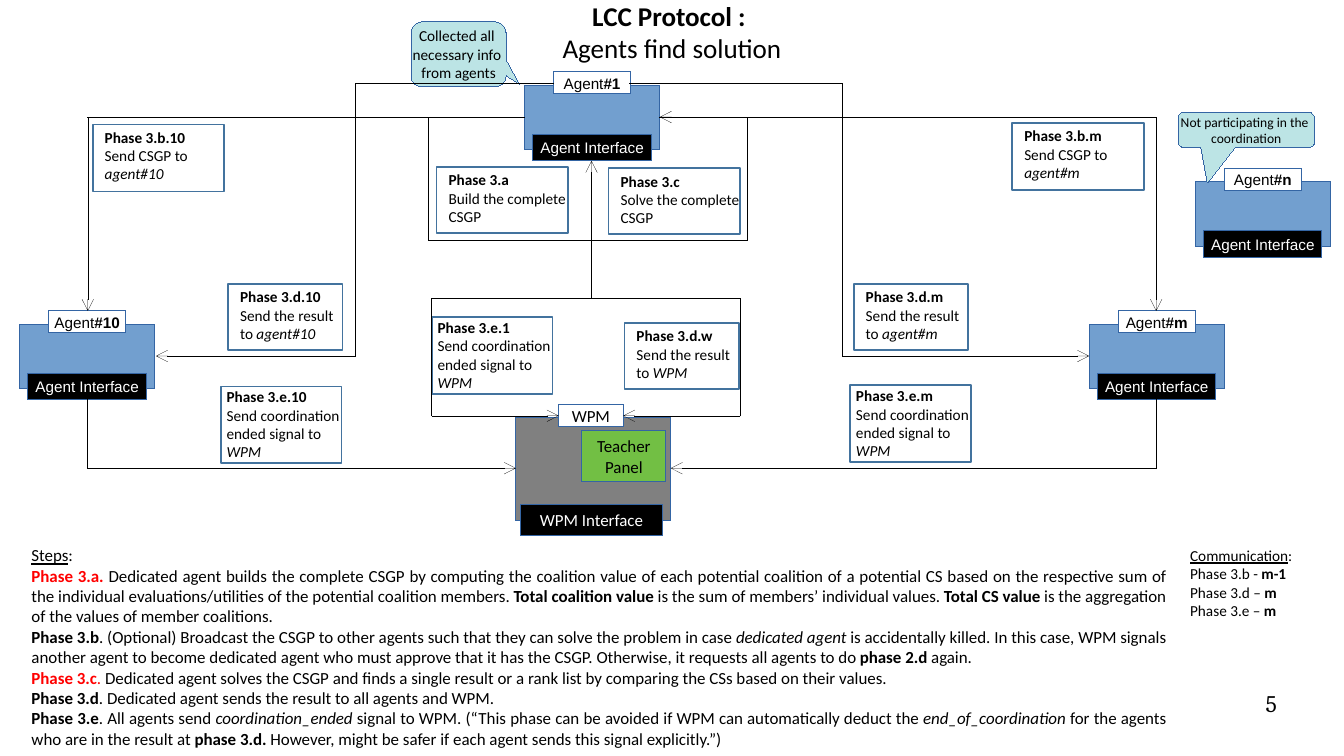
from itertools import pairwise
from typing import NamedTuple

from lxml.etree import SubElement
from pptx import Presentation
from pptx.dml.color import RGBColor
from pptx.enum.shapes import MSO_CONNECTOR, MSO_SHAPE
from pptx.enum.text import MSO_ANCHOR, PP_ALIGN
from pptx.oxml.ns import qn
from pptx.util import Cm, Pt

BLACK = RGBColor(0x00, 0x00, 0x00)
WHITE = RGBColor(0xFF, 0xFF, 0xFF)
RED = RGBColor(0xFF, 0x00, 0x00)
GREY = RGBColor(0x80, 0x80, 0x80)
GREEN = RGBColor(0x72, 0xBF, 0x44)
AGENT_BLUE = RGBColor(0x72, 0x9F, 0xCF)
OUTLINE_BLUE = RGBColor(0x34, 0x65, 0xA4)
NOTE_BLUE = RGBColor(0x43, 0x73, 0x9E)
CALLOUT_TEAL = RGBColor(0xBC, 0xE4, 0xE5)
CM_PER_INCH = 2.54
HAIRLINE = 0.01  # points; a width of zero would fall back to the theme's line


class Area(NamedTuple):
    """Left, top, width and height in inches."""
    left: float
    top: float
    width: float
    height: float


class Span(NamedTuple):
    text: str
    bold: bool = False
    italic: bool = False
    underline: bool = False
    color: RGBColor | None = None


class Style(NamedTuple):
    size: float
    font: str = "Calibri"
    color: RGBColor = BLACK
    align: PP_ALIGN = PP_ALIGN.LEFT
    anchor: MSO_ANCHOR = MSO_ANCHOR.TOP
    wrap: bool = True
    margins: tuple[float, float] = (0.1, 0.05)


class Agent(NamedTuple):
    name: str
    left: float
    top: float


class Note(NamedTuple):
    phase: str
    action: str
    target: str
    area: Area
    text_shift: tuple[float, float] = (0, -0.02)


class Callout(NamedTuple):
    text: str
    size: float
    area: Area
    tip: tuple[float, float]


Point = tuple[float, float]
Paragraphs = list[list[Span]]
SIGNAL_SHIFT = (-0.05, -0.04)
CENTERED = Style(9, "Arial", BLACK, PP_ALIGN.CENTER, MSO_ANCHOR.MIDDLE, False)
WPM_STYLE = CENTERED._replace(size=10, font="Calibri")

deck = Presentation()
deck.slide_width, deck.slide_height = Cm(11.02 * CM_PER_INCH), Cm(6.2 * CM_PER_INCH)
page = deck.slides.add_slide(deck.slide_layouts[6])


def lengths(*inches: float) -> list[Cm]:
    return [Cm(value * CM_PER_INCH) for value in inches]


def write(frame, paragraphs: Paragraphs, style: Style) -> None:
    frame.word_wrap = style.wrap
    frame.vertical_anchor = style.anchor
    frame.margin_left, frame.margin_top = lengths(*style.margins)
    frame.margin_right, frame.margin_bottom = lengths(*style.margins)
    for index, spans in enumerate(paragraphs):
        para = frame.add_paragraph() if index else frame.paragraphs[0]
        para.alignment = style.align
        for span in spans:
            for line, text in enumerate(span.text.split("\n")):
                if line:
                    para.add_line_break()
                if not text:
                    continue
                run = para.add_run()
                run.text = text
                run.font.size, run.font.name = Pt(style.size), style.font
                run.font.bold, run.font.italic = span.bold, span.italic
                run.font.underline = span.underline
                run.font.color.rgb = span.color or style.color


def add_text(area: Area, paragraphs: Paragraphs, style: Style) -> None:
    write(page.shapes.add_textbox(*lengths(*area)).text_frame, paragraphs, style)


def add_box(area: Area, fill: RGBColor | None, spans: tuple[Span, ...] = (),
            style: Style = CENTERED, line: RGBColor = OUTLINE_BLUE,
            line_width: float = HAIRLINE, kind: MSO_SHAPE = MSO_SHAPE.RECTANGLE):
    box = page.shapes.add_shape(kind, *lengths(*area))
    box.shadow.inherit = False
    if fill is None:
        box.fill.background()
    else:
        box.fill.solid()
        box.fill.fore_color.rgb = fill
    box.line.color.rgb, box.line.width = line, Pt(line_width)
    if spans:
        write(box.text_frame, [list(spans)], style)
    return box


def add_agent(agent: Agent) -> None:
    left, top = agent.left, agent.top
    add_box(Area(left, top, 1.11, 0.53), AGENT_BLUE)
    add_box(Area(left + 0.24, top - 0.11, 0.63, 0.18), WHITE, (Span("Agent"), Span(agent.name, bold=True)))
    add_box(Area(left + 0.07, top + 0.4, 0.97, 0.22), BLACK, (Span("Agent Interface"),), CENTERED._replace(color=WHITE))


def add_callout(callout: Callout) -> None:
    area = callout.area
    box = add_box(area, CALLOUT_TEAL, (Span(callout.text),), CENTERED._replace(size=callout.size, font="Calibri"),
                  kind=MSO_SHAPE.ROUNDED_RECTANGULAR_CALLOUT)
    box.adjustments[0] = (callout.tip[0] - area.left) / area.width - 0.5
    box.adjustments[1] = (callout.tip[1] - area.top) / area.height - 0.5


def add_note(note: Note) -> None:
    area, (across, down) = note.area, note.text_shift
    spans = [Span(note.phase + "\n", bold=True), Span(note.action), Span(note.target, italic=True)]
    add_text(Area(area.left + across, area.top + down, 1.25, area.height), [spans], Style(9))
    add_box(area, None, line=NOTE_BLUE, line_width=1)


def add_line(start: Point, end: Point, kind: MSO_CONNECTOR = MSO_CONNECTOR.STRAIGHT):
    line = page.shapes.add_connector(kind, *lengths(*start, *end))
    line.line.color.rgb, line.line.width = BLACK, Pt(HAIRLINE)
    SubElement(line._element.spPr, qn("a:effectLst"))
    return line


def add_arrowhead(line) -> None:
    SubElement(line.line._get_or_add_ln(), qn("a:tailEnd"), type="arrow")


def add_route(points: list[Point]) -> None:
    legs = [add_line(start, end) for start, end in pairwise(points)]
    add_arrowhead(legs[-1])


def add_elbow(start: Point, end: Point, bend: float) -> None:
    """Draw a three-part arrow that turns at the given horizontal position."""
    elbow = add_line(start, end, MSO_CONNECTOR.ELBOW)
    share = round((bend - start[0]) / (end[0] - start[0]) * 100000)
    guides = elbow._element.spPr.find(qn("a:prstGeom")).get_or_add_avLst()
    SubElement(guides, qn("a:gd"), name="adj1", fmla=f"val {share}")
    add_arrowhead(elbow)


# Title and page number
add_text(Area(0.55, 0.03, 9.92, 0.46), [[Span("LCC Protocol : \n", bold=True), Span("Agents find solution")]],
         Style(16, align=PP_ALIGN.CENTER, anchor=MSO_ANCHOR.MIDDLE, margins=(0, 0)))
add_text(Area(7.9, 5.65, 2.57, 0.43), [[Span("5")]], Style(14, "Cambria", align=PP_ALIGN.RIGHT, margins=(0, 0)))

# Agents and their callouts
for agent in (Agent("#1", 4.3, 0.7), Agent("#10", 0.16, 2.66), Agent("#m", 8.93, 2.66), Agent("#n", 9.8, 1.49)):
    add_agent(agent)
add_callout(Callout("Collected all \nnecessary info \nfrom agents", 9, Area(3.37, 0.18, 0.78, 0.53), (4.26, 0.69)))
add_callout(Callout("Not participating in the \ncoordination", 8, Area(9.66, 0.92, 1.12, 0.29), (9.9, 1.5)))

# WPM block
add_box(Area(4.23, 3.42, 1.27, 0.85), GREY)
add_box(Area(4.58, 3.32, 0.53, 0.18), WHITE, (Span("WPM"),), WPM_STYLE)
add_box(Area(4.77, 3.53, 0.69, 0.42), GREEN, (Span("Teacher\nPanel"),), WPM_STYLE)
add_box(Area(4.27, 4.14, 1.16, 0.25), BLACK, (Span("WPM Interface"),), WPM_STYLE._replace(color=WHITE))

# Phase notes
SEND_CSGP, SEND_RESULT = "Send CSGP to \n", "Send the result \nto "
SEND_SIGNAL = "Send coordination \nended signal to \n"
for note in (
    Note("Phase 3.a ", "Build the complete \nCSGP", "", Area(3.58, 1.37, 1.08, 0.54)),
    Note("Phase 3.c ", "Solve the complete \nCSGP", "", Area(4.99, 1.38, 1.08, 0.54)),
    Note("Phase 3.b.10 ", SEND_CSGP, "agent#10", Area(0.76, 1.02, 1.08, 0.55)),
    Note("Phase 3.b.m ", SEND_CSGP, "agent#m", Area(8.3, 1.01, 1.08, 0.55)),
    Note("Phase 3.d.10", SEND_RESULT, "agent#10", Area(1.87, 2.33, 0.94, 0.54)),
    Note("Phase 3.d.m", SEND_RESULT, "agent#m", Area(7, 2.33, 0.94, 0.54)),
    Note("Phase 3.d.w", SEND_RESULT, "WPM", Area(5.12, 2.65, 0.94, 0.54)),
    Note("Phase 3.e.1", SEND_SIGNAL, "WPM", Area(3.54, 2.6, 0.99, 0.63), SIGNAL_SHIFT),
    Note("Phase 3.e.10", SEND_SIGNAL, "WPM", Area(1.81, 3.17, 0.99, 0.63), SIGNAL_SHIFT),
    Note("Phase 3.e.m", SEND_SIGNAL, "WPM", Area(6.97, 3.16, 0.99, 0.63), SIGNAL_SHIFT),
):
    add_note(note)

# Message routes
add_elbow((4.54, 0.68), (1.28, 2.92), 2.91)
add_elbow((5.16, 0.68), (8.93, 2.92), 6.91)
for route in (
    [(4.3, 0.96), (0.72, 0.96), (0.72, 2.55)],
    [(5.41, 0.96), (9.48, 0.96), (9.48, 2.55)],
    [(4.3, 0.96), (3.51, 0.96), (3.51, 1.97), (4.85, 1.97), (4.85, 1.32)],
    [(4.85, 1.97), (6.13, 1.97), (6.13, 0.96), (5.41, 0.96)],
    [(4.85, 1.97), (4.85, 2.45), (3.54, 2.45), (3.54, 3.41), (4.58, 3.41)],
    [(4.85, 2.45), (6.07, 2.45), (6.07, 3.41), (5.11, 3.41)],
    [(0.72, 3.28), (0.72, 3.84), (4.23, 3.84)],
    [(9.48, 3.28), (9.48, 3.84), (5.5, 3.84)],
):
    add_route(route)

# Steps and communication counts
add_text(Area(0.16, 4.42, 9.5, 1.81), [
    [Span("Steps", underline=True), Span(":")],
    [Span("Phase 3.a.", bold=True, color=RED), Span(" Dedicated agent builds the complete CSGP by computing the coalition value of each potential coalition of a potential CS based on the respective sum of the individual evaluations/utilities of the potential coalition members. "),
     Span("Total coalition value", bold=True), Span(" is the sum of members’ individual values. "),
     Span("Total CS value", bold=True), Span(" is the aggregation of the values of member coalitions. ")],
    [Span("Phase 3.b", bold=True), Span(". (Optional) Broadcast the CSGP to other agents such that they can solve the problem in case "),
     Span("dedicated agent", italic=True), Span(" is accidentally killed. In this case, WPM signals another agent to become dedicated agent who must approve that it has the CSGP. Otherwise, it requests all agents to do "),
     Span("phase 2.d ", bold=True), Span("again. ")],
    [Span("Phase 3.c", bold=True, color=RED), Span(".", color=RED), Span(" Dedicated agent solves the CSGP and finds a single result or a rank list by comparing the CSs based on their values.")],
    [Span("Phase 3.d", bold=True), Span(". Dedicated agent sends the result to all agents and WPM. ")],
    [Span("Phase 3.e", bold=True), Span(". All agents send "), Span("coordination_ended", italic=True),
     Span(" signal to WPM. (“This phase can be avoided if WPM can automatically deduct the "), Span("end_of_coordination ", italic=True),
     Span("for the agents who are in the result at "), Span("phase 3.d. ", bold=True), Span("However, might be safer if each agent sends this signal explicitly.”)")],
], Style(10, align=PP_ALIGN.JUSTIFY))
add_text(Area(9.66, 4.43, 1.05, 0.72), [
    [Span("Communication", underline=True), Span(":")],
    [Span("Phase 3.b - "), Span("m-1", bold=True)],
    [Span("Phase 3.d –"), Span(" m", bold=True)],
    [Span("Phase 3.e – "), Span("m", bold=True)],
], Style(9, wrap=False))

deck.save("out.pptx")
